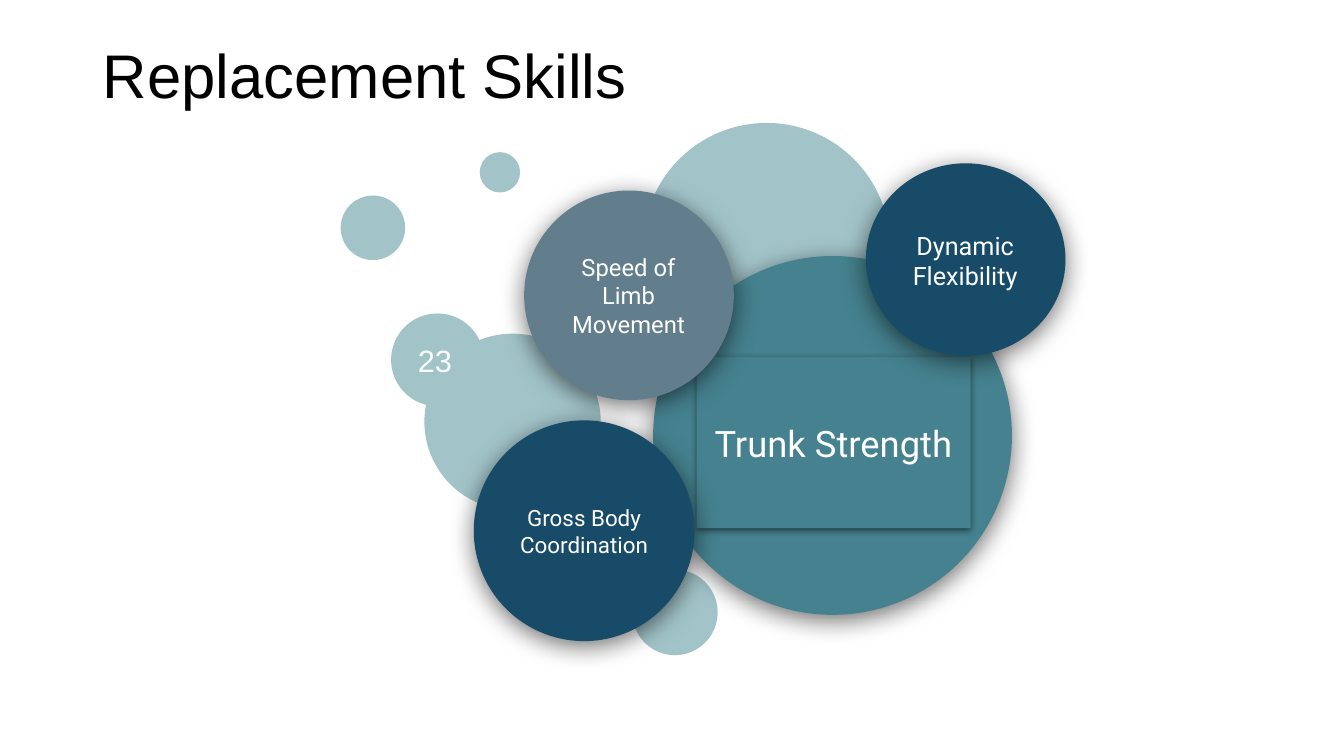
"""Build the Replacement Skills slide: labelled discs over pale bubbles."""
from dataclasses import dataclass

from lxml import etree
from pptx import Presentation
from pptx import util as u
from pptx.dml import color
from pptx.enum import shapes, text
from pptx.oxml import ns

COLUMNS, ROWS = 80, 45
CELL = u.Inches(1) / 6
PALE, TEAL, SLATE, NAVY = "A2C4C9", "45818E", "627D8C", "174B67"
WHITE, OFF_WHITE, BLACK = "FFFFFF", "F9FBFD", "000000"


@dataclass(frozen=True)
class Area:
    """A rectangle in grid columns and rows."""
    left: float
    top: float
    width: float
    height: float


@dataclass(frozen=True)
class Shadow:
    """A black shadow falling straight down, in points and percent."""
    opacity: int
    blur: float
    distance: float


@dataclass(frozen=True)
class Label:
    """Words with their type settings."""
    words: str
    size: int
    font: str = "Roboto"
    colour: str = WHITE
    align: text.PP_ALIGN = text.PP_ALIGN.CENTER


@dataclass(frozen=True)
class Bubble:
    """A pale background circle."""
    left: float
    top: float
    diameter: float
    label: Label | None = None


@dataclass(frozen=True)
class Skill:
    """A shaded disc with a text panel of the same colour."""
    disc: Area
    panel: Area
    fill: str
    label: Label
    panel_shadow: Shadow | None = None


DISC_SHADOW = Shadow(55, 18, 4)
BUBBLES = [
    Bubble(37.62, 33.9, 5.1),
    Bubble(20.28, 11.64, 3.84),
    Bubble(25.26, 19.86, 10.5),
    Bubble(38.28, 7.32, 14.7),
    Bubble(23.28, 18.66, 5.52, Label("23", 22, "Arial", OFF_WHITE, text.PP_ALIGN.LEFT)),
    Bubble(28.56, 9.06, 2.4),
]
SKILLS = [
    Skill(Area(38.88, 15.24, 21.36, 21.36), Area(41.46, 21.24, 16.32, 10.2),
          TEAL, Label("Trunk Strength", 26), Shadow(50, 4.5, 1.5)),
    Skill(Area(31.2, 11.34, 12.48, 12.48), Area(33.18, 13.44, 8.46, 8.28),
          SLATE, Label("Speed of Limb Movement", 17)),
    Skill(Area(28.2, 25.02, 13.14, 13.14), Area(30.06, 27.48, 9.42, 8.28),
          NAVY, Label("Gross Body Coordination", 16)),
    Skill(Area(51.54, 9.72, 11.88, 11.46), Area(53.4, 11.7, 8.1, 7.62),
          NAVY, Label("Dynamic Flexibility", 18)),
]


def rgb(value: str) -> color.RGBColor:
    """Turn a hex string into a colour."""
    return color.RGBColor.from_string(value)


def cells(count: float) -> int:
    """Convert grid cells to slide units."""
    return round(count * CELL)


def place(area: Area) -> tuple[int, int, int, int]:
    """Convert an area to left, top, width and height."""
    return cells(area.left), cells(area.top), cells(area.width), cells(area.height)


def write(frame, label: Label) -> None:
    """Fill a text frame with a label and format it."""
    frame.text = label.words
    frame.word_wrap = True
    para = frame.paragraphs[0]
    para.alignment = label.align
    for span in para.runs:
        span.font.size = u.Pt(label.size)
        span.font.name = label.font
        span.font.color.rgb = rgb(label.colour)


def cast(box, shadow: Shadow) -> None:
    """Give a shape an outer shadow."""
    effects = box._element.spPr.find(ns.qn("a:effectLst"))
    outer = etree.SubElement(
        effects, ns.qn("a:outerShdw"), blurRad=str(u.Pt(shadow.blur)),
        dist=str(u.Pt(shadow.distance)), dir="5400000", algn="ctr", rotWithShape="0")
    tint = etree.SubElement(outer, ns.qn("a:srgbClr"), val=BLACK)
    etree.SubElement(tint, ns.qn("a:alpha"), val=str(shadow.opacity * 1000))


def draw(group, kind: shapes.MSO_SHAPE, area: Area, fill: str,
         shadow: Shadow | None = None, label: Label | None = None) -> None:
    """Add a borderless filled shape to a group."""
    box = group.shapes.add_shape(kind, *place(area))
    box.fill.solid()
    box.fill.fore_color.rgb = rgb(fill)
    box.line.fill.background()
    box.shadow.inherit = False
    if shadow:
        cast(box, shadow)
    if label:
        frame = box.text_frame
        frame.vertical_anchor = text.MSO_ANCHOR.MIDDLE
        frame.margin_left = frame.margin_right = u.Inches(0.13)
        frame.margin_top = frame.margin_bottom = u.Inches(0.13)
        write(frame, label)


def draw_title(page) -> None:
    """Place and format the slide title."""
    title = page.shapes.title
    title.left, title.top, title.width, title.height = place(Area(5.52, 2.4, 69, 8.7))
    write(title.text_frame, Label("Replacement Skills", 44, "Arial", BLACK, text.PP_ALIGN.LEFT))
    title.text_frame.vertical_anchor = text.MSO_ANCHOR.TOP
    title.text_frame.paragraphs[0].line_spacing = 0.9


def draw_bubbles(page, bubbles: list[Bubble]) -> None:
    """Draw the background bubbles as one group."""
    group = page.shapes.add_group_shape()
    for bubble in bubbles:
        area = Area(bubble.left, bubble.top, bubble.diameter, bubble.diameter)
        draw(group, shapes.MSO_SHAPE.OVAL, area, PALE, label=bubble.label)


def draw_skill(page, skill: Skill) -> None:
    """Draw a skill's disc and panel as one group."""
    group = page.shapes.add_group_shape()
    draw(group, shapes.MSO_SHAPE.OVAL, skill.disc, skill.fill, DISC_SHADOW)
    draw(group, shapes.MSO_SHAPE.RECTANGLE, skill.panel, skill.fill,
         skill.panel_shadow, skill.label)


def main() -> None:
    """Build and save the deck."""
    deck = Presentation()
    deck.slide_width, deck.slide_height = cells(COLUMNS), cells(ROWS)
    page = deck.slides.add_slide(deck.slide_layouts.get_by_name("Title Only"))
    draw_title(page)
    draw_bubbles(page, BUBBLES)
    for skill in SKILLS:
        draw_skill(page, skill)
    deck.save("out.pptx")


if __name__ == "__main__":
    main()
